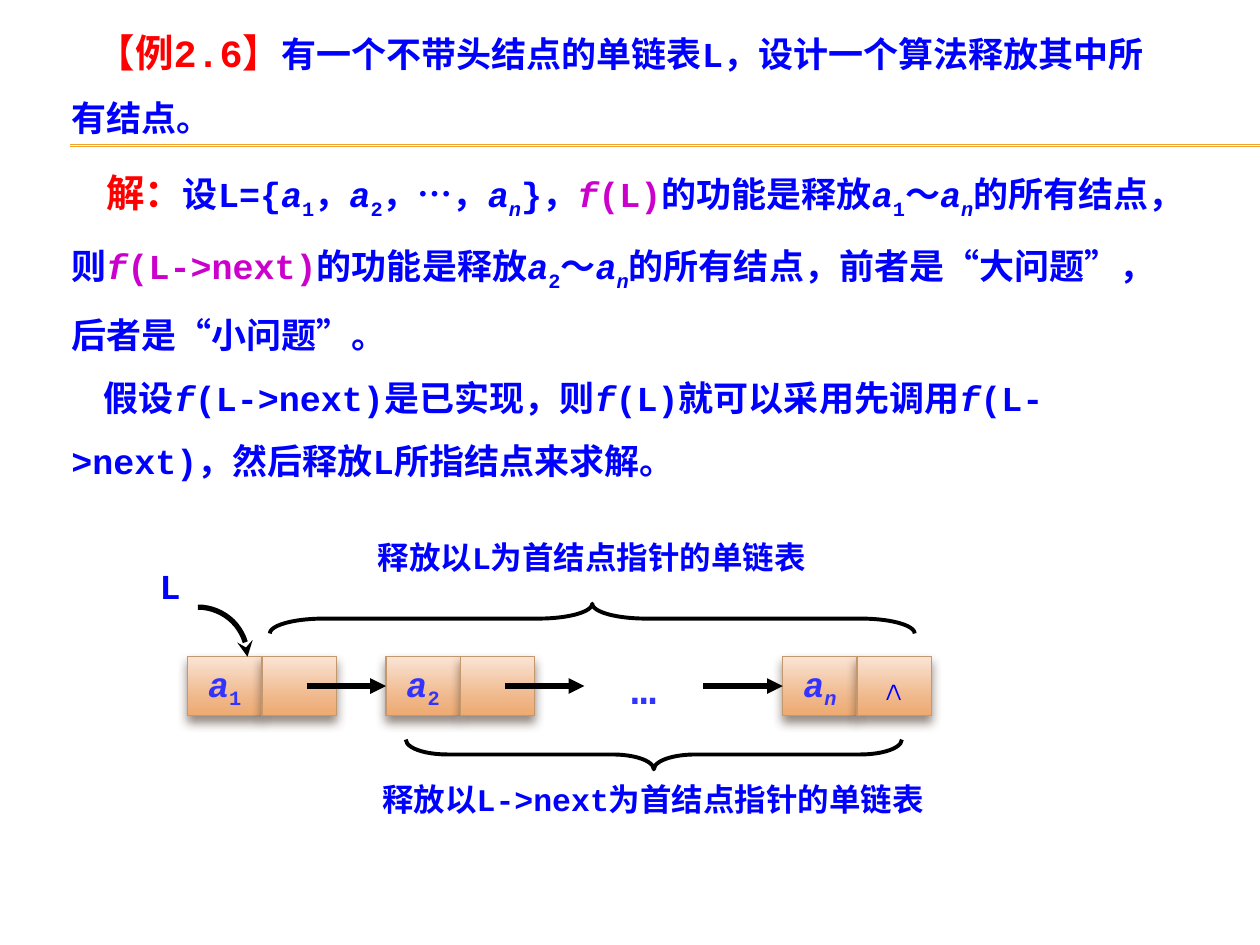
from math import cos, pi, sin
from pptx import Presentation
from pptx.dml.color import RGBColor as RGB
from pptx.enum.lang import MSO_LANGUAGE_ID as Lang
from pptx.enum.shapes import MSO_CONNECTOR as Link, MSO_SHAPE as Kind
from pptx.enum.text import MSO_ANCHOR as Anchor, PP_ALIGN as Align
from pptx.oxml import parse_xml
from pptx.oxml.ns import nsdecls
from pptx.util import Cm, Pt

RED = RGB(0xFF, 0, 0)
BLUE = RGB(0, 0, 0xFF)
PALE = RGB(0x33, 0x33, 0xFF)
PINK = RGB(0xCC, 0, 0xCC)
GOLD = RGB(0xF0, 0xA2, 0x2E)
TAN = RGB(0xC3, 0x98, 0x6D)
BLACK = RGB(0, 0, 0)
STOPS = ((0, "FAE4D5"), (72, "EFB688"), (100, "EFAA6F"))
NS = nsdecls("a")


def add_run(par, text, size=20, color=BLUE, slant=False, sub=False):
    run = par.add_run()
    run.text = text
    font = run.font
    font.name, font.size, font.bold, font.italic = "Courier New", Pt(size), True, slant
    font.color.rgb = color
    font.language_id = Lang.SIMPLIFIED_CHINESE
    if sub:
        run._r.get_or_add_rPr().set("baseline", "-25000")


def add_term(par, mark, color=BLUE):
    add_run(par, "a", color=color, slant=True)
    add_run(par, mark, color=color, slant=mark == "n", sub=True)


def add_call(par, arg, color=BLUE):
    add_run(par, "f", color=color, slant=True)
    add_run(par, arg, color=color)


def add_box(shapes, x, y, w, h):
    frame = shapes.add_textbox(Cm(x), Cm(y), Cm(w), Cm(h)).text_frame
    frame.word_wrap = True
    return frame


def set_par(par, indent):
    par.line_spacing = 1.5
    par._p.get_or_add_pPr().set("indent", str(Cm(indent)))
    return par


def add_label(shapes, x, y, w, h, text, size, color=BLUE, align=Align.CENTER):
    par = add_box(shapes, x, y, w, h).paragraphs[0]
    par.alignment = align
    add_run(par, text, size, color)


def add_line(shapes, x1, y1, x2, y2, color, width):
    line = shapes.add_connector(Link.STRAIGHT, Cm(x1), Cm(y1), Cm(x2), Cm(y2))
    line.line.color.rgb = color
    line.line.width = Pt(width)
    line._element.spPr.append(parse_xml(f"<a:effectLst {NS}/>"))
    return line


def add_head(shape, kind):
    shape.line._get_or_add_ln().append(parse_xml(f'<a:tailEnd {NS} type="{kind}"/>'))


def draw_rule(shapes, x, y, w):
    for gap in (0, 0.03):
        add_line(shapes, x, y + gap, x + w, y + gap, GOLD, 0.75)


def draw_title(shapes, x, y, w, h):
    par = set_par(add_box(shapes, x, y, w, h).paragraphs[0], 0.51)
    add_run(par, "【例2.6】", 22, RED)
    add_run(par, "有一个不带头结点的单链表L，设计一个算法释放其中所有结点。")


def draw_body(shapes, x, y, w, h):
    frame = add_box(shapes, x, y, w, h)
    par = set_par(frame.paragraphs[0], 0.7)
    add_run(par, "解：", 22, RED)
    add_run(par, "设L={")
    for mark, text in (("1", "，"), ("2", "，…，"), ("n", "}，")):
        add_term(par, mark)
        add_run(par, text)
    parts = (("(L)", "1", "的所有结点，则"),
             ("(L->next)", "2", "的所有结点，前者是“大问题”，后者是“小问题”。"))
    for arg, mark, text in parts:
        add_call(par, arg, PINK)
        add_run(par, "的功能是释放")
        add_term(par, mark)
        add_run(par, "～")
        add_term(par, "n")
        add_run(par, text)
    par = set_par(frame.add_paragraph(), 0.65)
    add_run(par, "假设")
    for text in ("(L->next)是已实现，则", "(L)就可以采用先调用",
                 "(L->next)，然后释放L所指结点来求解。"):
        add_call(par, text)


def add_cell(shapes, x, y, w, h):
    cell = shapes.add_shape(Kind.RECTANGLE, Cm(x), Cm(y), Cm(w), Cm(h))
    cell.line.color.rgb = TAN
    cell.line.width = Pt(0.79)
    cell.shadow.inherit = False
    stops = "".join(f'<a:gs pos="{pos * 1000}"><a:srgbClr val="{val}"/></a:gs>'
                    for pos, val in STOPS)
    props = cell._element.spPr
    props[1].addnext(parse_xml(
        f'<a:gradFill {NS} rotWithShape="1"><a:gsLst>{stops}</a:gsLst>'
        '<a:lin ang="5400000" scaled="0"/></a:gradFill>'))
    props[-1].append(parse_xml(
        f'<a:outerShdw {NS} blurRad="{Pt(6)}" dist="{Pt(4)}" dir="5400000" rotWithShape="0">'
        '<a:srgbClr val="4E3B30"><a:alpha val="60000"/></a:srgbClr></a:outerShdw>'))
    frame = cell.text_frame
    frame.word_wrap = False
    frame.vertical_anchor = Anchor.MIDDLE
    frame.paragraphs[0].alignment = Align.CENTER
    return cell


def add_brace(shapes, x, y, span, turn, bend):
    deep = 0.6
    brace = shapes.add_shape(Kind.RIGHT_BRACE, Cm(x - deep / 2), Cm(y - span / 2),
                             Cm(deep), Cm(span))
    brace.rotation = turn
    brace.adjustments[0] = bend
    brace.shadow.inherit = False
    brace.fill.background()
    brace.line.color.rgb = BLACK
    brace.line.width = Pt(2.25)


def add_curve(shapes, x, y, size):
    steps = 16
    turns = [pi / 2 * i / steps for i in range(steps + 1)]
    dots = [(Cm(x + size * sin(t)), Cm(y + size * (1 - cos(t)))) for t in turns]
    form = shapes.build_freeform(*dots[0])
    form.add_line_segments(dots[1:], close=False)
    curve = form.convert_to_shape()
    curve.shadow.inherit = False
    curve.fill.background()
    curve.line.color.rgb = BLACK
    curve.line.width = Pt(3)
    add_head(curve, "stealth")


def draw_list(shapes, x, y):
    group = shapes.add_group_shape().shapes
    wide, high, pitch = 1.5, 1.2, 4
    left, top = x + 0.81, y + 2.51
    nodes = {}
    for slot, mark in ((0, "1"), (1, "2"), (3, "n")):
        start = left + slot * pitch
        nodes[slot] = add_cell(group, start, top, wide, high)
        add_term(nodes[slot].text_frame.paragraphs[0], mark, PALE)
        tail = add_cell(group, start + wide, top, wide, high)
        if mark == "n":
            add_run(tail.text_frame.paragraphs[0], "∧")
    add_label(group, left + 2 * pitch + 0.4, top, 1.6, 1.27, "…", 24, PALE)
    add_curve(group, x + 1.02, y + 1.52, 1)
    add_label(group, x, y + 0.53, 1.2, 1.12, "L", 20, align=Align.LEFT)
    mid = top + high / 2
    for slot in range(3):
        start = left + slot * pitch + 2.4
        arrow = add_line(group, start, mid, start + 1.6, mid, BLACK, 3)
        add_head(arrow, "triangle")
        if slot + 1 in nodes:
            arrow.end_connect(nodes[slot + 1], 1)
    add_label(group, x + 3.56, y, 10.8, 1.02, "释放以L为首结点指针的单链表", 18)
    add_brace(group, x + 10.21, y + 4.49, 10, 90, 1.39)
    add_brace(group, x + 8.97, y + 1.75, 13, 270, 1.81)
    add_label(group, x + 3.3, y + 4.88, 13.79, 1.02, "释放以L->next为首结点指针的单链表", 18)


def main():
    deck = Presentation()
    deck.slide_width, deck.slide_height = Cm(25.4), Cm(19.05)
    shapes = deck.slides.add_slide(deck.slide_layouts[6]).shapes
    draw_rule(shapes, 1.42, 2.92, 23.98)
    draw_title(shapes, 1.19, 0, 22.8, 2.8)
    draw_body(shapes, 1.19, 2.77, 23, 6.8)
    draw_list(shapes, 2.97, 10.72)
    deck.save("out.pptx")


if __name__ == "__main__":
    main()
